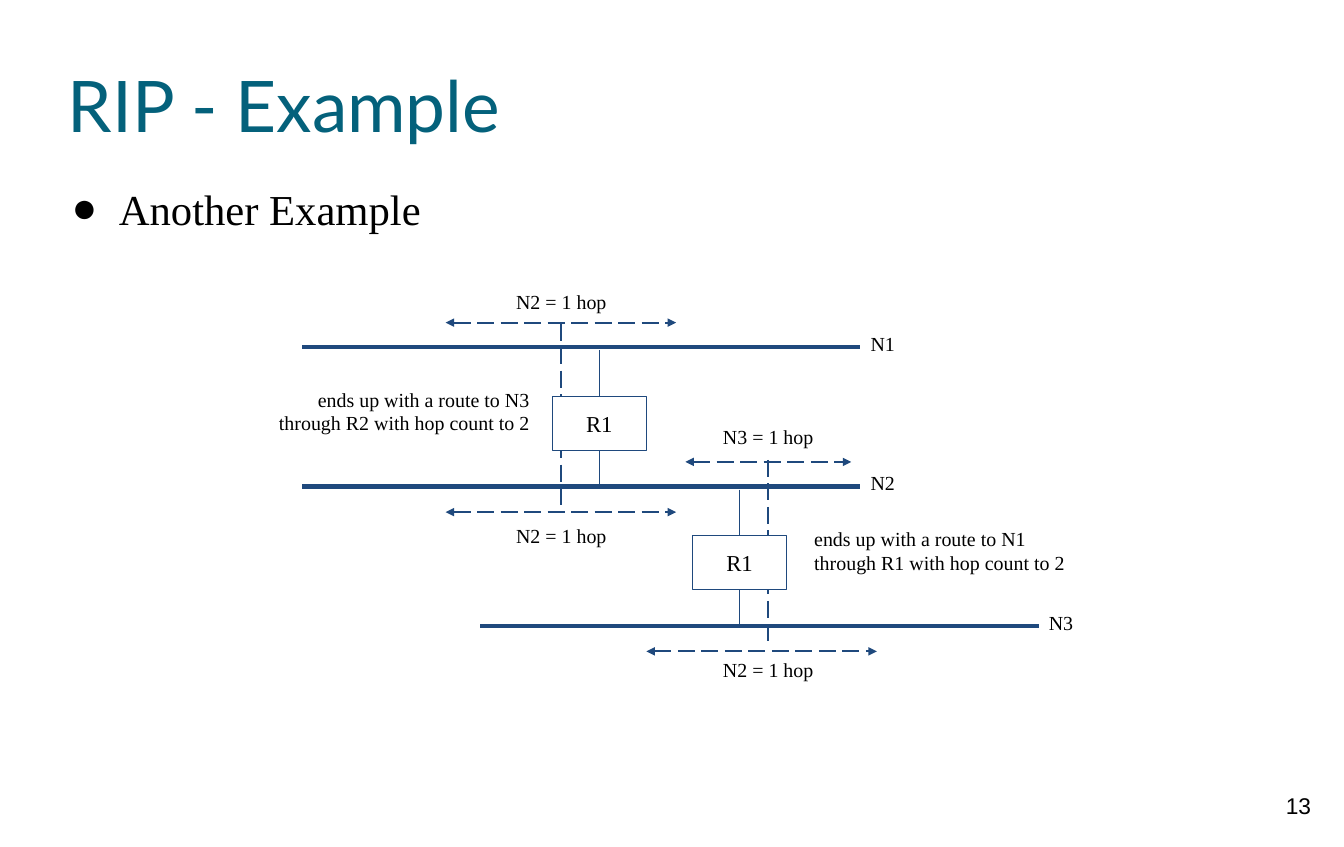
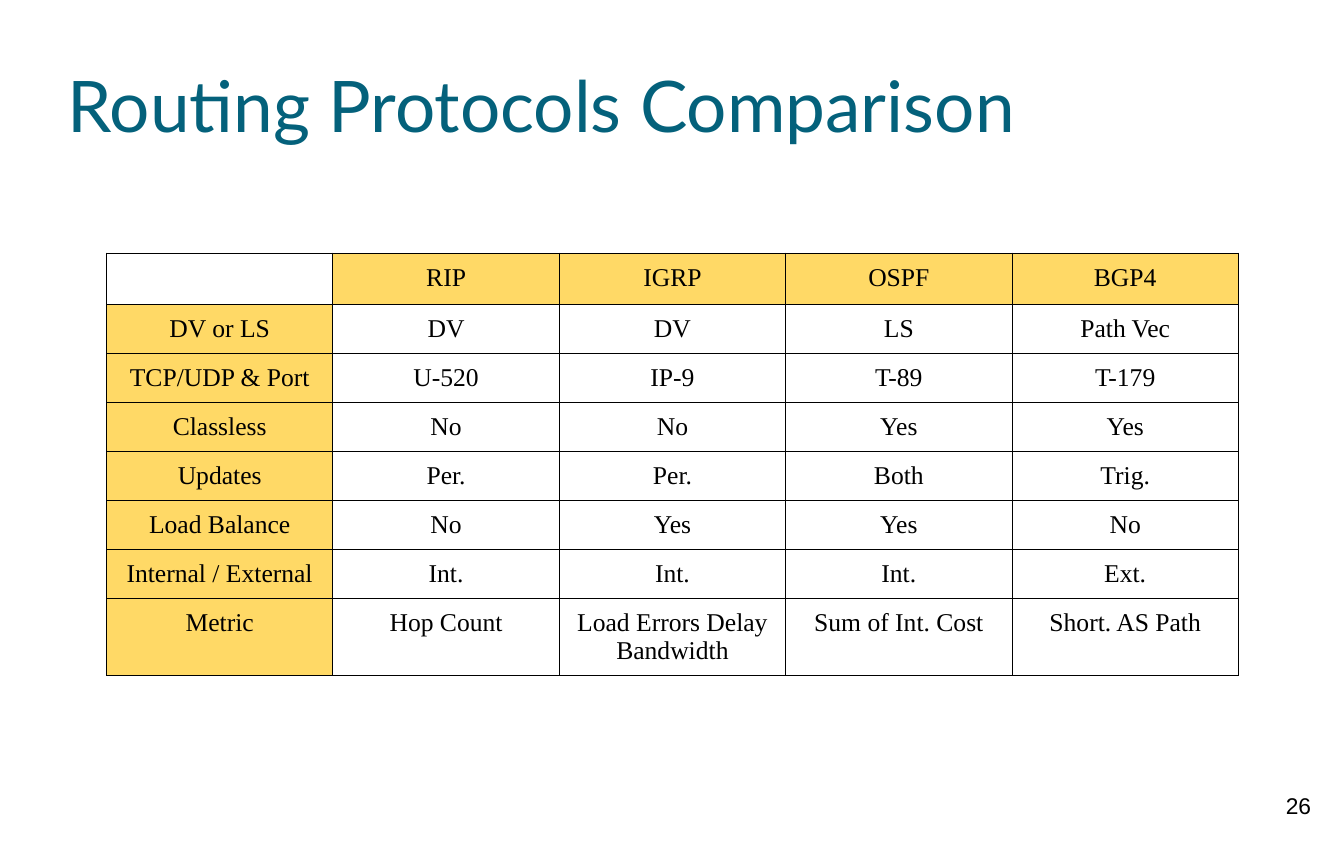
from lxml import etree
from pptx import Presentation
from pptx import util as u
from pptx.dml.color import RGBColor
from pptx.enum import dml, shapes, text
from pptx.oxml import ns

BLACK = RGBColor(0x00, 0x00, 0x00)
WHITE = RGBColor(0xFF, 0xFF, 0xFF)
TEAL = RGBColor(0x04, 0x61, 0x7B)
NAVY = RGBColor(0x1F, 0x49, 0x7D)
GOLD = RGBColor(0xFF, 0xD9, 0x66)

SERIF, SANS, TITLE_FONT = "Times New Roman", "Arial", "Lato"
LEFT, CENTER, RIGHT = text.PP_ALIGN.LEFT, text.PP_ALIGN.CENTER, text.PP_ALIGN.RIGHT
TOP, MIDDLE = text.MSO_ANCHOR.TOP, text.MSO_ANCHOR.MIDDLE
TITLE_AND_BODY, TITLE_ONLY = 1, 5
PAD = 10


def px(length):
    """Convert px, at 100 to the inch, to EMU."""
    return u.Emu(length * 9144)


def add_child(parent, tag, **attributes):
    return etree.SubElement(parent, ns.qn(tag), attributes)


class Deck:
    """The shared style and the slide being built."""

    def __init__(self, width, height):
        self.prs = Presentation()
        self.prs.slide_width, self.prs.slide_height = px(width), px(height)
        self.slide = None

    # Slide frame
    def add_slide(self, layout, title, number):
        self.slide = self.prs.slides.add_slide(self.prs.slide_layouts[layout])
        heading = self.slide.shapes.title
        self.place(heading, 66, 33, 1181, 138)
        self.set_text(heading.text_frame, title, 50, TITLE_FONT, TEAL, anchor=MIDDLE, pad=0)
        self.label(number, 1228, 763, 79, 63, CENTER, 16, SANS)

    # Text
    def place(self, shape, x, y, w, h):
        shape.left, shape.top, shape.width, shape.height = map(px, (x, y, w, h))

    def set_text(self, frame, words, size, font=SERIF, color=BLACK, align=LEFT, anchor=TOP, pad=PAD):
        frame.text = words
        frame.word_wrap = True
        frame.auto_size = text.MSO_AUTO_SIZE.NONE
        frame.vertical_anchor = anchor
        frame.margin_left = frame.margin_right = px(pad)
        frame.margin_top = frame.margin_bottom = px(pad)
        self.style(frame.paragraphs[0], size, font, color, align)

    def style(self, paragraph, size, font, color, align):
        paragraph.alignment = align
        for run in paragraph.runs:
            run.font.size, run.font.name = u.Pt(size), font
            run.font.color.rgb = color

    def label(self, words, x, y, w, h, align=LEFT, size=14, font=SERIF):
        box = self.slide.shapes.add_textbox(*map(px, (x, y, w, h)))
        self.set_text(box.text_frame, words, size, font, align=align)

    def bullet(self, words, x, y, w, h):
        body = self.slide.placeholders[1]
        self.place(body, x, y, w, h)
        self.set_text(body.text_frame, words, 30, pad=0)
        paragraph = body.text_frame.paragraphs[0]
        paragraph.space_before = u.Pt(0)
        paragraph.line_spacing = 1.15
        properties = paragraph._p.get_or_add_pPr()
        properties.set("marL", str(px(50)))
        properties.set("indent", str(px(-46)))
        add_child(add_child(properties, "a:buClr"), "a:srgbClr", val=str(BLACK))
        add_child(properties, "a:buFont", typeface=SERIF)
        add_child(properties, "a:buChar", char="●")

    # Lines
    def line(self, x1, y1, x2, y2, weight=0.75, dashed=False, arrows=False):
        connector = self.slide.shapes.add_connector(
            shapes.MSO_CONNECTOR.STRAIGHT, *map(px, (x1, y1, x2, y2)))
        connector.line.color.rgb = NAVY
        connector.line.width = u.Pt(weight)
        if dashed:
            connector.line.dash_style = dml.MSO_LINE.LONG_DASH
        if arrows:
            outline = connector.line._get_or_add_ln()
            for end in ("a:headEnd", "a:tailEnd"):
                add_child(outline, end, type="triangle")
        add_child(connector._element.spPr, "a:effectLst")

    # Network diagram
    def network(self, name, x, y, length=545):
        self.line(x, y, x + length, y, weight=3)
        self.label(name, x + length, y - 25, 184, 44)

    def hop(self, words, x1, x2, y, label_center, label_y):
        self.line(x1, y, x2, y, weight=1.5, dashed=True, arrows=True)
        self.label(words, label_center - 70, label_y, 140, 44, CENTER)

    def router(self, name, center, y, w=92, h=53):
        self.line(center, y - 45, center, y)
        self.line(center, y + h, center, y + h + 35)
        box = self.slide.shapes.add_shape(
            shapes.MSO_SHAPE.RECTANGLE, *map(px, (center - w // 2, y, w, h)))
        box.shadow.inherit = False
        box.fill.solid()
        box.fill.fore_color.rgb = WHITE
        box.line.color.rgb = NAVY
        box.line.width = u.Pt(0.75)
        self.set_text(box.text_frame, name, 16, align=CENTER, anchor=MIDDLE)

    # Table
    def table(self, rows, x, y, column_width, row_height):
        count = len(rows[0])
        grid = self.slide.shapes.add_table(
            len(rows), count,
            *map(px, (x, y, column_width * count, row_height * len(rows)))).table
        grid.first_row = grid.horz_banding = False
        for r, row in enumerate(rows):
            for c, words in enumerate(row):
                is_header = bool(words) and (r == 0 or c == 0)
                self.cell(grid.cell(r, c), words, GOLD if is_header else WHITE)

    def cell(self, cell, words, color):
        cell.text = words
        cell.margin_left = cell.margin_right = px(PAD)
        cell.margin_top = cell.margin_bottom = px(PAD)
        self.style(cell.text_frame.paragraphs[0], 18, SERIF, BLACK, CENTER)
        properties = cell._tc.get_or_add_tcPr()
        for side in "LRTB":
            border = add_child(properties, f"a:ln{side}", w=str(u.Pt(0.75)))
            add_child(add_child(border, "a:solidFill"), "a:srgbClr", val=str(BLACK))
        cell.fill.solid()
        cell.fill.fore_color.rgb = color


NETWORKS = [("N1", 295, 339), ("N2", 295, 475), ("N3", 469, 611)]
HOPS = [
    ("N2 = 1 hop", 435, 660, 315, 548, 273),
    ("N2 = 1 hop", 435, 660, 500, 548, 501),
    ("N3 = 1 hop", 669, 831, 451, 750, 405),
    ("N2 = 1 hop", 631, 856, 636, 750, 632),
]
REACHES = [(548, 316, 501), (750, 449, 632)]
ROUTERS = [("R1", 585, 387), ("R1", 722, 523)]
ROUTES = [
    ("ends up with a route to N3\vthrough R2 with hop count to 2", 114, 368, RIGHT),
    ("ends up with a route to N1\vthrough R1 with hop count to 2", 785, 504, LEFT),
]
PROTOCOLS = [
    ("", "RIP", "IGRP", "OSPF", "BGP4"),
    ("DV or LS", "DV", "DV", "LS", "Path Vec"),
    ("TCP/UDP & Port", "U-520", "IP-9", "T-89", "T-179"),
    ("Classless", "No", "No", "Yes", "Yes"),
    ("Updates", "Per.", "Per.", "Both", "Trig."),
    ("Load Balance", "No", "Yes", "Yes", "No"),
    ("Internal / External", "Int.", "Int.", "Int.", "Ext."),
    ("Metric", "Hop Count", "Load Errors Delay Bandwidth", "Sum of Int. Cost", "Short. AS Path"),
]


def main():
    deck = Deck(1312, 827)

    # Example with two routers
    deck.add_slide(TITLE_AND_BODY, "RIP - Example", "13")
    deck.bullet("Another Example", 66, 171, 1184, 58)
    for network in NETWORKS:
        deck.network(*network)
    for hop in HOPS:
        deck.hop(*hop)
    for x, top, bottom in REACHES:
        deck.line(x, top, x, bottom, weight=1.5, dashed=True)
    for router in ROUTERS:
        deck.router(*router)
    for words, x, y, align in ROUTES:
        deck.label(words, x, y, 413, 67, align)

    # Comparison table
    deck.add_slide(TITLE_ONLY, "Routing Protocols Comparison", "26")
    deck.table(PROTOCOLS, 104, 247, 221, 42)

    deck.prs.save("out.pptx")


if __name__ == "__main__":
    main()
